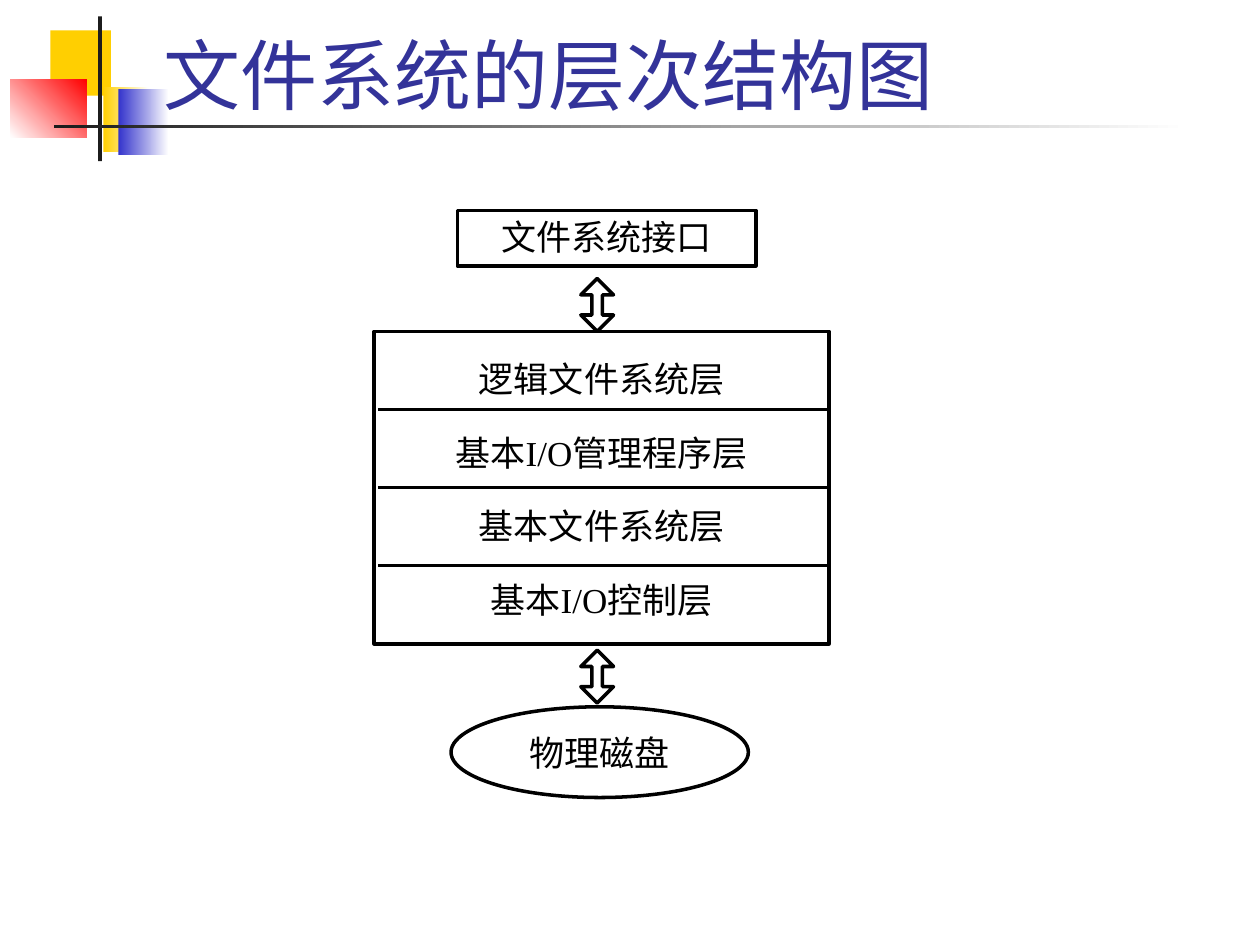
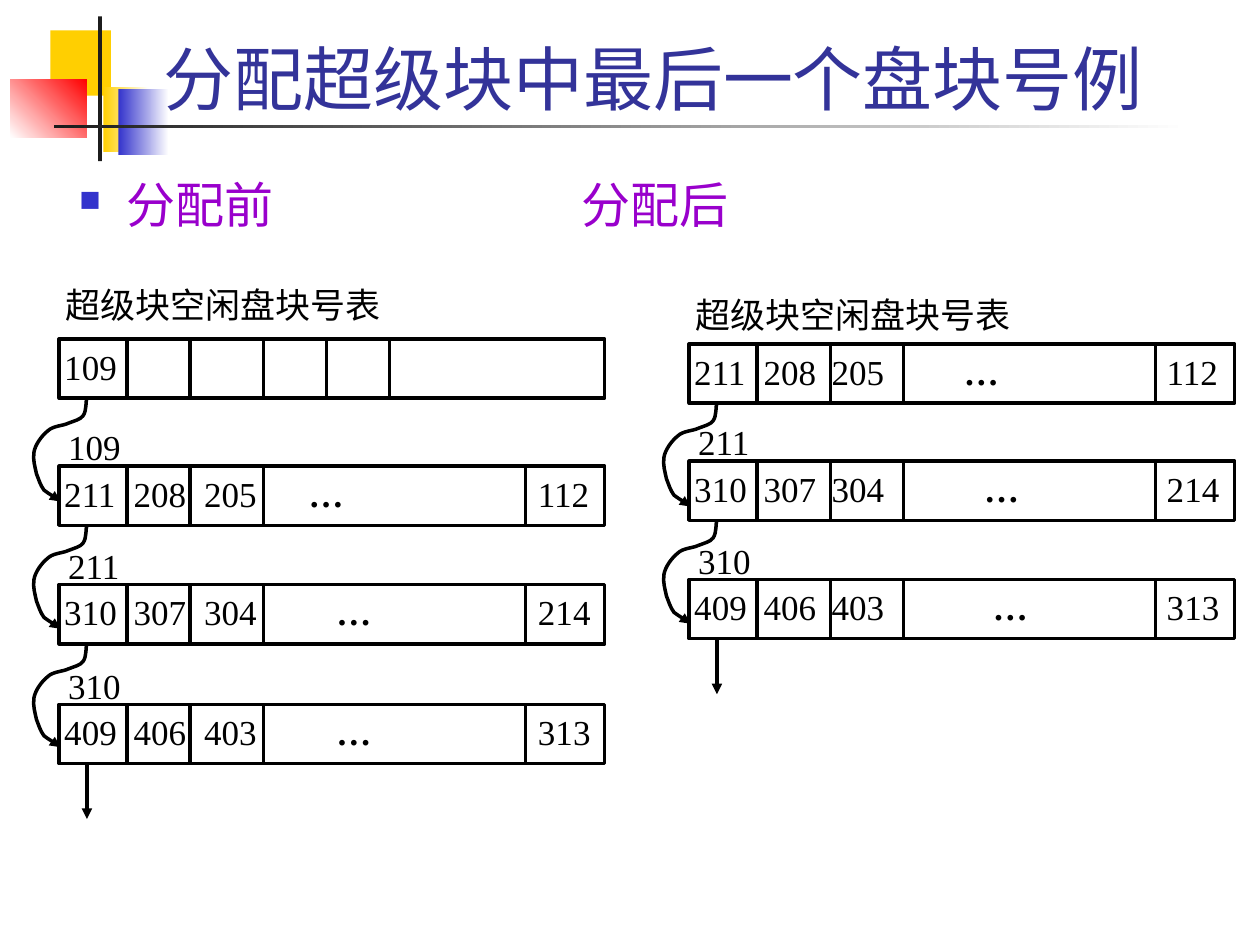
from lxml.etree import SubElement
from pptx import Presentation
from pptx.dml.color import RGBColor
from pptx.enum.shapes import MSO_CONNECTOR as Link, MSO_SHAPE as Shape
from pptx.enum.text import MSO_ANCHOR as Anchor, PP_ALIGN as Align
from pptx.oxml.ns import qn
from pptx.util import Emu, Inches, Pt

WIDTH, HEIGHT = 10, 7.5
COLORS = {
    "title": "333399", "heading": "9900CC", "ink": "000000", "paper": "FFFFFF",
    "yellow": "FFCF01", "blue": "3333CC", "red": "FF0000", "bar": "1C1C1C",
}
TITLE_FONT, BODY_FONT, BODY_SIZE = "Cabin", "Times New Roman", 20

BANDS = [
    ((0.4, 0.24, 0.48, 0.52), ("yellow",), 0),
    ((0.82, 0.69, 0.36, 0.52), ("yellow", "paper"), 0),
    ((0.94, 0.71, 0.4, 0.52), ("blue", "paper"), 0),
    ((0.08, 0.63, 0.61, 0.46), ("paper", "red"), 45),
    ((0.78, 0.13, 0.03, 1.15), ("bar",), 0),
    ((0.43, 0.99, 9, 0.03), ("bar", "paper"), 0),
]

STRUCTURE = {
    "title": "文件系统的层次结构图",
    "interface": "文件系统接口",
    "layers": ["逻辑文件系统层", "基本I/O管理程序层", "基本文件系统层", "基本I/O控制层"],
    "disk": "物理磁盘",
}

ALLOCATION_TITLE = "分配超级块中最后一个盘块号例"
CAPTION = "超级块空闲盘块号表"
STATES = [
    {
        "heading": "分配前", "heading_left": 0.53, "bullet": True,
        "left": 0.47, "caption_top": 2.25,
        "dividers": [1.01, 1.51, 2.09, 4.17], "tabs": [0.55, 1.11, 3.76],
        "rows": [
            {"top": 2.69, "cells": ["109"], "dividers": [1.01, 1.51, 2.09, 2.59, 3.09]},
            {"top": 3.7, "label": "109", "cells": ["211", "208", "205", "…", "112"], "dots": 1.94},
            {"top": 4.64, "label": "211", "cells": ["310", "307", "304", "…", "214"], "dots": 2.16},
            {"top": 5.59, "label": "310", "cells": ["409", "406", "403", "…", "313"], "dots": 2.16},
        ],
    },
    {
        "heading": "分配后", "heading_left": 4.52, "bullet": False,
        "left": 5.47, "caption_top": 2.33,
        "dividers": [6.01, 6.59, 7.17, 9.17], "tabs": [0.55, 1.09, 3.75],
        "rows": [
            {"top": 2.73, "cells": ["211", "208", "205", "…", "112"], "dots": 2.14},
            {"top": 3.66, "label": "211", "cells": ["310", "307", "304", "…", "214"], "dots": 2.3},
            {"top": 4.6, "label": "310", "cells": ["409", "406", "403", "…", "313"], "dots": 2.37},
        ],
    },
]
ROW_WIDTH, ROW_HEIGHT = 4.33, 0.47
POINTER_START = 0.22
POINTER = [
    (-0.01, 0.02), (0, 0.1), (-0.03, 0.14), (-0.05, 0.17), (-0.1, 0.18), (-0.15, 0.2),
    (-0.19, 0.22), (-0.27, 0.22), (-0.31, 0.26), (-0.36, 0.3), (-0.41, 0.37), (-0.42, 0.43),
    (-0.43, 0.49), (-0.41, 0.55), (-0.4, 0.6), (-0.38, 0.65), (-0.37, 0.69), (-0.34, 0.73),
    (-0.3, 0.76), (-0.23, 0.8), (-0.21, 0.82),
]


def rgb(name):
    return RGBColor.from_string(COLORS[name])


def outline(line):
    line.color.rgb = rgb("ink")
    line.width = Pt(2)


def add_arrowhead(part):
    SubElement(part.line._get_or_add_ln(), qn("a:tailEnd"), type="triangle")


def add_part(slide, kind, box, fill="paper"):
    part = slide.shapes.add_shape(kind, *map(Inches, box))
    part.shadow.inherit = False
    if fill:
        part.fill.solid()
        part.fill.fore_color.rgb = rgb(fill)
    else:
        part.fill.background()
    outline(part.line)
    return part


def add_line(slide, x1, y1, x2, y2):
    line = slide.shapes.add_connector(Link.STRAIGHT, *map(Inches, (x1, y1, x2, y2)))
    SubElement(line._element.spPr, qn("a:effectLst"))
    outline(line.line)
    return line


def set_frame(frame, insets=(0.1, 0.05, 0.1, 0.05), anchor=Anchor.TOP, wrap=True):
    frame.margin_left, frame.margin_top, frame.margin_right, frame.margin_bottom = map(Inches, insets)
    frame.vertical_anchor = anchor
    frame.word_wrap = wrap


def style(frame, size=BODY_SIZE, font=BODY_FONT, color="ink", align=Align.LEFT):
    for paragraph in frame.paragraphs:
        paragraph.alignment = align
        for run in paragraph.runs:
            run.font.size = Pt(size)
            run.font.name = font
            run.font.color.rgb = rgb(color)


def add_label(slide, box, text, insets=(0, 0, 0, 0), anchor=Anchor.TOP, **look):
    frame = slide.shapes.add_textbox(*map(Inches, box)).text_frame
    set_frame(frame, insets, anchor)
    frame.text = text
    style(frame, **look)
    return frame


def add_base(deck, title, size):
    slide = deck.slides.add_slide(deck.slide_layouts[6])
    for box, colors, angle in BANDS:
        band = add_part(slide, Shape.RECTANGLE, box, colors[0])
        band.line.fill.background()
        if len(colors) > 1:
            band.fill.gradient()
            band.fill.gradient_angle = angle
            for stop, color in zip(band.fill.gradient_stops, colors):
                stop.color.rgb = rgb(color)
    add_label(slide, (1.2, 0.17, 8.52, 0.83), title, (0.1, 0.05, 0.1, 0.05), Anchor.BOTTOM,
              size=size, font=TITLE_FONT, color="title")
    return slide


def build_structure(deck):
    slide = add_base(deck, STRUCTURE["title"], 44)
    left, top, width, height = 2.97, 2.63, 3.61, 2.48
    layers = STRUCTURE["layers"]
    stack = add_part(slide, Shape.RECTANGLE, (left, top, width, height))
    set_frame(stack.text_frame, (0.1, 0.21, 0.1, 0.02))
    stack.text_frame.text = "\n".join(layers)
    style(stack.text_frame, align=Align.CENTER)
    for paragraph in stack.text_frame.paragraphs[1:]:
        paragraph.space_before = Pt(18)
    for i in range(1, len(layers)):
        y = top + i * height / len(layers)
        add_line(slide, left + 0.03, y, left + width, y)

    interface = add_part(slide, Shape.RECTANGLE, (3.63, 1.67, 2.37, 0.44))
    set_frame(interface.text_frame, (0.1, 0.04, 0.1, 0.02))
    disk = add_part(slide, Shape.OVAL, (3.58, 5.61, 2.36, 0.72), None)
    set_frame(disk.text_frame, anchor=Anchor.MIDDLE, wrap=False)
    for part, name in ((interface, "interface"), (disk, "disk")):
        part.text_frame.text = STRUCTURE[name]
        style(part.text_frame, align=Align.CENTER)

    for arrow_top in (2.21, 5.16):
        arrow = add_part(slide, Shape.UP_DOWN_ARROW, (4.61, arrow_top, 0.26, 0.42))
        arrow.adjustments[0], arrow.adjustments[1] = 0.5, 0.325


def add_heading(slide, state):
    frame = add_label(slide, (state["heading_left"], 1.39, 3.9, 0.54), "", (0.1, 0.05, 0.1, 0.05))
    paragraph = frame.paragraphs[0]
    paragraph.text = state["heading"]
    paragraph.line_spacing = 0.9
    if state["bullet"]:
        props = paragraph._p.get_or_add_pPr()
        props.set("marL", str(Inches(0.38)))
        props.set("indent", str(-Inches(0.38)))
        SubElement(SubElement(props, qn("a:buClr")), qn("a:srgbClr"), val=COLORS["blue"])
        SubElement(props, qn("a:buSzPct"), val="60000")
        SubElement(props, qn("a:buChar"), char="■")
    style(frame, size=28, font=TITLE_FONT, color="heading")


def add_row(slide, state, row):
    left, top = state["left"], row["top"]
    strip = add_part(slide, Shape.RECTANGLE, (left, top, ROW_WIDTH, ROW_HEIGHT))
    frame = strip.text_frame
    set_frame(frame, (0.04, 0.05, 0.04, 0.05))
    paragraph = frame.paragraphs[0]
    if "dots" in row:
        tabs = SubElement(paragraph._p.get_or_add_pPr(), qn("a:tabLst"))
        for stop in sorted(state["tabs"] + [row["dots"]]):
            SubElement(tabs, qn("a:tab"), pos=str(Inches(stop)), algn="l")
    for i, cell in enumerate(row["cells"]):
        run = paragraph.add_run()
        run.text = ("\t" if i else "") + cell
        run.font.bold = cell == "…"
    style(frame)
    for x in row.get("dividers", state["dividers"]):
        add_line(slide, x, top, x, top + ROW_HEIGHT)
    if "label" in row:
        add_label(slide, (left + 0.07, top - 0.32, 0.45, 0.25), row["label"])


def add_pointer(slide, x, y):
    builder = slide.shapes.build_freeform(Inches(x), Inches(y))
    builder.add_line_segments([(Inches(x + dx), Inches(y + dy)) for dx, dy in POINTER], close=False)
    pointer = builder.convert_to_shape(Emu(0), Emu(0))
    outlines = pointer._element.xpath(".//a:path")[0]
    steps = outlines.findall(qn("a:lnTo"))
    for i in range(0, len(steps), 3):
        curve = SubElement(outlines, qn("a:cubicBezTo"))
        for step in steps[i:i + 3]:
            curve.append(step[0])
            outlines.remove(step)
    pointer.shadow.inherit = False
    pointer.fill.background()
    outline(pointer.line)
    add_arrowhead(pointer)


def build_allocation(deck):
    slide = add_base(deck, ALLOCATION_TITLE, 40)
    for state in STATES:
        left, rows = state["left"], state["rows"]
        add_heading(slide, state)
        add_label(slide, (left + 0.05, state["caption_top"], 2.9, 0.35), CAPTION)
        for row in rows:
            add_row(slide, state, row)
        for row in rows[:-1]:
            add_pointer(slide, left + POINTER_START, row["top"] + ROW_HEIGHT)
        x, y = left + POINTER_START, rows[-1]["top"] + ROW_HEIGHT
        add_arrowhead(add_line(slide, x, y, x, y + 0.44))


def main():
    deck = Presentation()
    deck.slide_width, deck.slide_height = Inches(WIDTH), Inches(HEIGHT)
    build_structure(deck)
    build_allocation(deck)
    deck.save("out.pptx")


if __name__ == "__main__":
    main()
